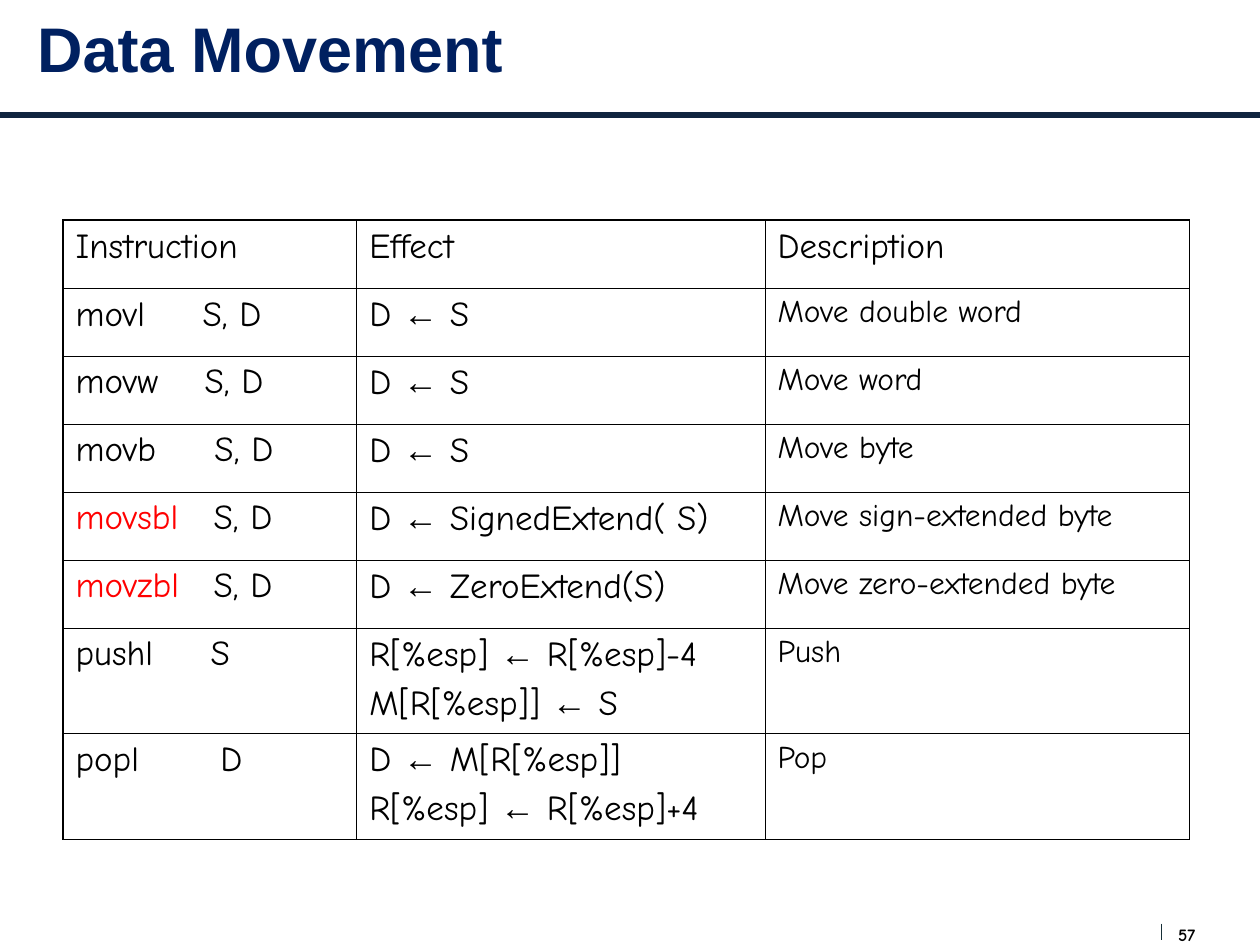
from lxml.etree import SubElement
from pptx import Presentation
from pptx.dml.color import RGBColor
from pptx.enum.shapes import MSO_CONNECTOR as Connector
from pptx.enum.text import MSO_ANCHOR as Anchor
from pptx.oxml import parse_xml
from pptx.oxml.ns import nsdecls, qn
from pptx.util import Cm, Pt

THEME = {
    "heading_font": "Arial", "body_font": "Comic Neue",
    "navy": "002060", "rule": "10253F", "tick": "172F37",
    "ink": "000000", "accent": "FF0000",
    "title": 36, "body": 20, "note": 18, "number": 10,
    "outer": 1.08, "inner": 0.45,
}

TITLE = "Data Movement"
PAGE_NUMBER = "57"
HEADINGS = ["Instruction", "Effect", "Description"]
INSTRUCTIONS = [
    ("movl", "S, D", 2.56, ["D ← S"], "Move double word"),
    ("movw", "S, D", 2.6, ["D ← S"], "Move word"),
    ("movb", "S, D", 2.8, ["D ← S"], "Move byte"),
    ("movsbl", "S, D", 2.78, ["D ← SignedExtend( S)"], "Move sign-extended byte"),
    ("movzbl", "S, D", 2.78, ["D ← ZeroExtend(S)"], "Move zero-extended byte"),
    ("pushl", "S", 2.72, ["R[%esp] ← R[%esp]-4", "M[R[%esp]] ← S"], "Push"),
    ("popl", "D", 2.92, ["D ← M[R[%esp]]", "R[%esp] ← R[%esp]+4"], "Pop"),
]
HIGHLIGHTED = {"movsbl", "movzbl"}
COLUMN_WIDTHS = [5.92, 8.23, 8.56]
ROW_HEIGHTS = {1: 1.37, 2: 2.13}


def add_span(para, text, size, color="ink", font="body_font", bold=False):
    span = para.add_run()
    span.text = text
    span.font.name = THEME[font]
    span.font.size = Pt(THEME[size])
    span.font.bold = bold
    span.font.color.rgb = RGBColor.from_string(THEME[color])


def add_label(page, left, top, width, height, anchor, margins, text, **style):
    box = page.shapes.add_textbox(Cm(left), Cm(top), Cm(width), Cm(height))
    frame = box.text_frame
    frame.word_wrap = True
    frame.vertical_anchor = anchor
    frame.margin_left = frame.margin_right = Cm(margins[0])
    frame.margin_top = frame.margin_bottom = Cm(margins[1])
    add_span(frame.paragraphs[0], text, bold=True, **style)


def add_rule(page, start, end, color, weight):
    rule = page.shapes.add_connector(Connector.STRAIGHT, *map(Cm, start + end))
    rule.line.color.rgb = RGBColor.from_string(THEME[color])
    rule.line.width = Pt(weight)
    SubElement(rule._element.spPr, qn("a:effectLst"))


def set_borders(cell, sides):
    properties = cell._tc.get_or_add_tcPr()
    for index, (side, is_outer) in enumerate(sides.items()):
        weight = Pt(THEME["outer" if is_outer else "inner"])
        properties.insert(index, parse_xml(
            f'<a:ln{side} {nsdecls("a")} w="{weight}"><a:solidFill>'
            f'<a:srgbClr val="{THEME["ink"]}"/></a:solidFill></a:ln{side}>'))


def fill_instruction(cell, name, operands, stop):
    para = cell.text_frame.paragraphs[0]
    tabs = SubElement(para._p.get_or_add_pPr(), qn("a:tabLst"))
    SubElement(tabs, qn("a:tab"), pos=str(Cm(stop)), algn="l")
    add_span(para, name, "body", "accent" if name in HIGHLIGHTED else "ink")
    add_span(para, "\t" + operands, "body")


def fill_effect(cell, effects):
    frame = cell.text_frame
    for index, effect in enumerate(effects):
        para = frame.add_paragraph() if index else frame.paragraphs[0]
        if index:
            para.space_before = Pt(5)
        target, arrow, value = effect.partition("←")
        add_span(para, target, "body")
        add_span(para, arrow, "body", font="heading_font")
        add_span(para, value, "body")


def add_instruction_table(page):
    heights = [ROW_HEIGHTS[1]] + [ROW_HEIGHTS[len(row[3])] for row in INSTRUCTIONS]
    table = page.shapes.add_table(
        len(heights), len(COLUMN_WIDTHS), Cm(1.27), Cm(4.44),
        Cm(sum(COLUMN_WIDTHS)), Cm(sum(heights))).table
    table.first_row = table.horz_banding = False
    for column, width in zip(table.columns, COLUMN_WIDTHS):
        column.width = Cm(width)
    for row, height in zip(table.rows, heights):
        row.height = Cm(height)

    last_row, last_column = len(heights) - 1, len(COLUMN_WIDTHS) - 1
    for r in range(len(heights)):
        for c in range(len(COLUMN_WIDTHS)):
            cell = table.cell(r, c)
            cell.fill.background()
            set_borders(cell, {"L": c == 0, "R": c == last_column,
                               "T": r == 0, "B": r == last_row})

    for c, heading in enumerate(HEADINGS):
        add_span(table.cell(0, c).text_frame.paragraphs[0], heading, "body")
    for r, (name, operands, stop, effects, description) in enumerate(INSTRUCTIONS, 1):
        fill_instruction(table.cell(r, 0), name, operands, stop)
        fill_effect(table.cell(r, 1), effects)
        add_span(table.cell(r, 2).text_frame.paragraphs[0], description, "note")


def main():
    deck = Presentation()
    deck.slide_width, deck.slide_height = Cm(25.4), Cm(19.05)
    page = deck.slides.add_slide(deck.slide_layouts[6])
    add_rule(page, (0, 2.32), (25.4, 2.32), "rule", 3)
    add_label(page, 23.75, 18.62, 0.86, 0.43, Anchor.TOP, (0, 0),
              PAGE_NUMBER, size="number")
    add_rule(page, (23.42, 18.62), (23.42, 18.95), "tick", 0.75)
    add_label(page, 0.5, 0, 23.5, 1.9, Anchor.MIDDLE, (0.25, 0.13),
              TITLE, size="title", color="navy", font="heading_font")
    add_instruction_table(page)
    deck.save("out.pptx")


if __name__ == "__main__":
    main()
